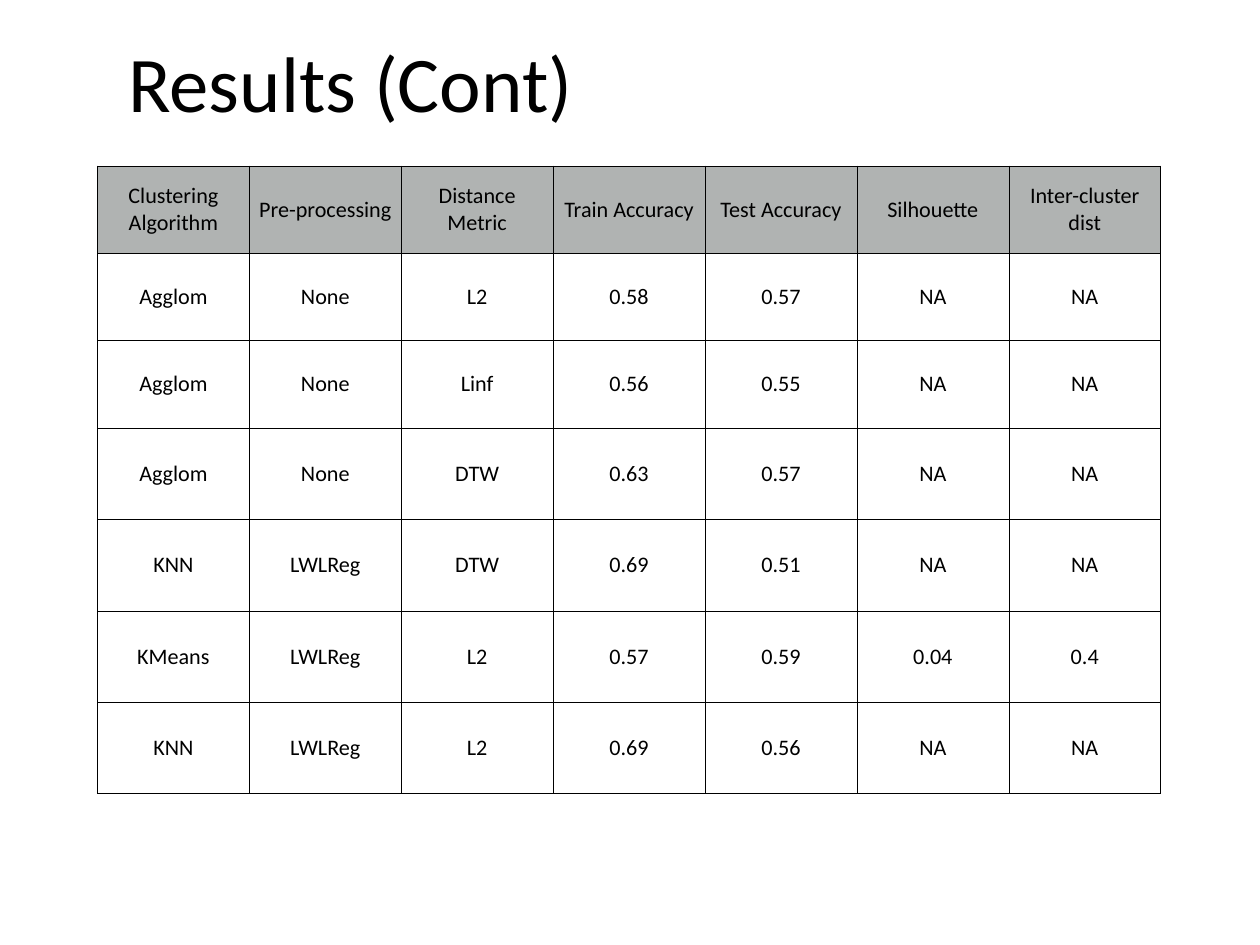
from lxml import etree
from pptx import Presentation
from pptx.dml.color import RGBColor
from pptx.enum import text
from pptx.oxml import ns
from pptx import util as u

EMU_PER_PX = 9144


def px(length):
    return u.Emu(length * EMU_PER_PX)


def colour(value):
    return RGBColor.from_string(value)


class ResultsSlide:
    font = "Calibri"
    ink = "000000"
    header_fill = "B0B3B2"
    body_fill = "FFFFFF"
    border_points = 0.45

    def __init__(self, presentation):
        self.slide = presentation.slides.add_slide(presentation.slide_layouts[6])

    def add_run(self, paragraph, content, size):
        run = paragraph.add_run()
        run.text = content
        run.font.name = self.font
        run.font.size = u.Pt(size)
        run.font.color.rgb = colour(self.ink)

    def add_title(self, content, left, top, width, height):
        shape = self.slide.shapes.add_textbox(px(left), px(top), px(width), px(height))
        frame = shape.text_frame
        frame.word_wrap = True
        frame.vertical_anchor = text.MSO_ANCHOR.MIDDLE
        frame.margin_left = frame.margin_right = px(6)
        frame.margin_top = frame.margin_bottom = px(6)
        self.add_run(frame.paragraphs[0], content, 64)

    def add_borders(self, cell):
        properties = cell._tc.get_or_add_tcPr()
        for side in ("a:lnL", "a:lnR", "a:lnT", "a:lnB"):
            line = etree.SubElement(properties, ns.qn(side), w=str(u.Pt(self.border_points)))
            fill = etree.SubElement(line, ns.qn("a:solidFill"))
            etree.SubElement(fill, ns.qn("a:srgbClr"), val=self.ink)

    def fill_cell(self, cell, content, fill):
        self.add_borders(cell)
        cell.fill.solid()
        cell.fill.fore_color.rgb = colour(fill)
        cell.vertical_anchor = text.MSO_ANCHOR.MIDDLE
        cell.margin_left = cell.margin_right = px(7)
        cell.margin_top = cell.margin_bottom = px(5)
        paragraph = cell.text_frame.paragraphs[0]
        paragraph.alignment = text.PP_ALIGN.CENTER
        self.add_run(paragraph, content, 18)

    def add_table(self, rows, left, top, width, row_heights):
        frame = self.slide.shapes.add_table(
            len(rows), len(rows[0]), px(left), px(top), px(width), px(sum(row_heights))
        )
        table = frame.table
        table.first_row = False
        table.horz_banding = False
        for row_index, (values, height) in enumerate(zip(rows, row_heights)):
            table.rows[row_index].height = px(height)
            fill = self.body_fill if row_index else self.header_fill
            for column_index, value in enumerate(values):
                self.fill_cell(table.cell(row_index, column_index), value, fill)


RESULTS = [
    ("Clustering Algorithm", "Pre-processing", "Distance Metric", "Train Accuracy",
     "Test Accuracy", "Silhouette", "Inter-cluster dist"),
    ("Agglom", "None", "L2", "0.58", "0.57", "NA", "NA"),
    ("Agglom", "None", "Linf", "0.56", "0.55", "NA", "NA"),
    ("Agglom", "None", "DTW", "0.63", "0.57", "NA", "NA"),
    ("KNN", "LWLReg", "DTW", "0.69", "0.51", "NA", "NA"),
    ("KMeans", "LWLReg", "L2", "0.57", "0.59", "0.04", "0.4"),
    ("KNN", "LWLReg", "L2", "0.69", "0.56", "NA", "NA"),
]


def main():
    presentation = Presentation()
    presentation.slide_width = px(1422)
    presentation.slide_height = px(1066)
    results = ResultsSlide(presentation)
    results.add_title("Results (Cont)", 139, 28, 1144, 126)
    results.add_table(RESULTS, 110, 187, 1200, [99, 98, 99] + [103] * 4)
    presentation.save("out.pptx")


if __name__ == "__main__":
    main()
